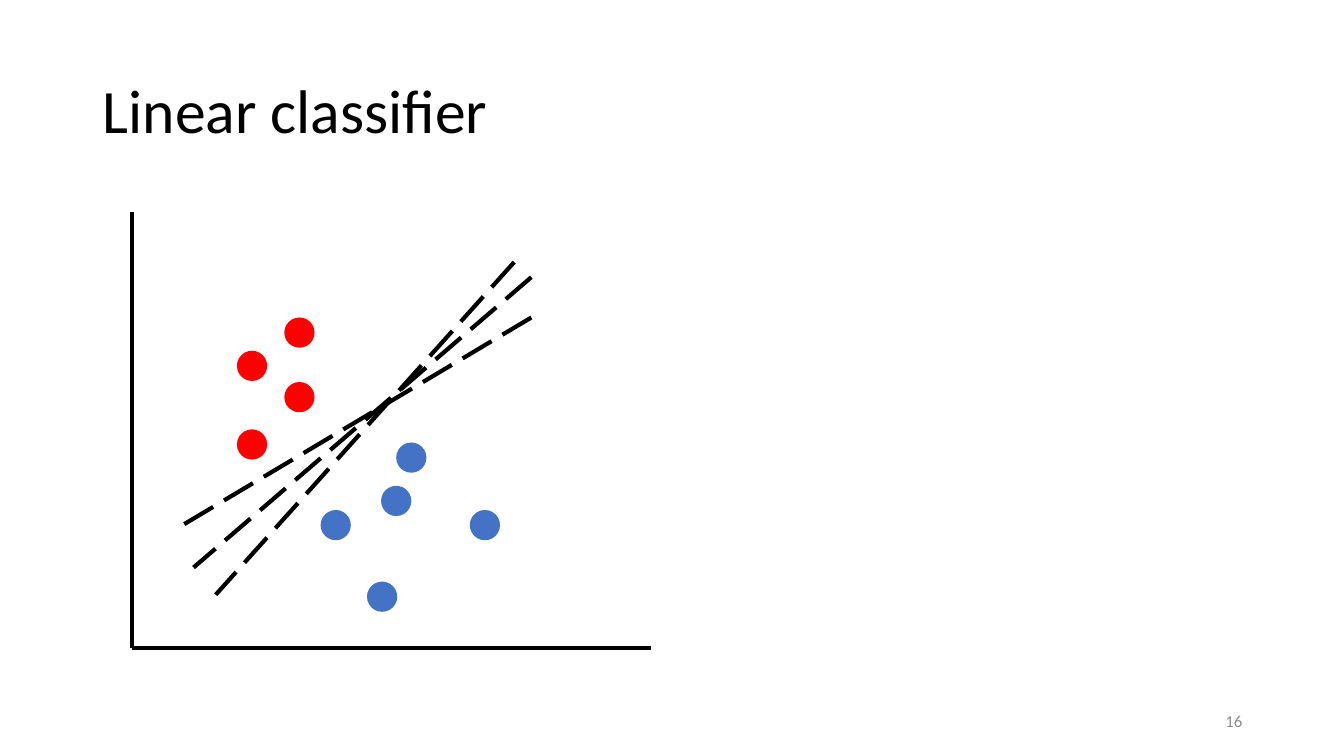
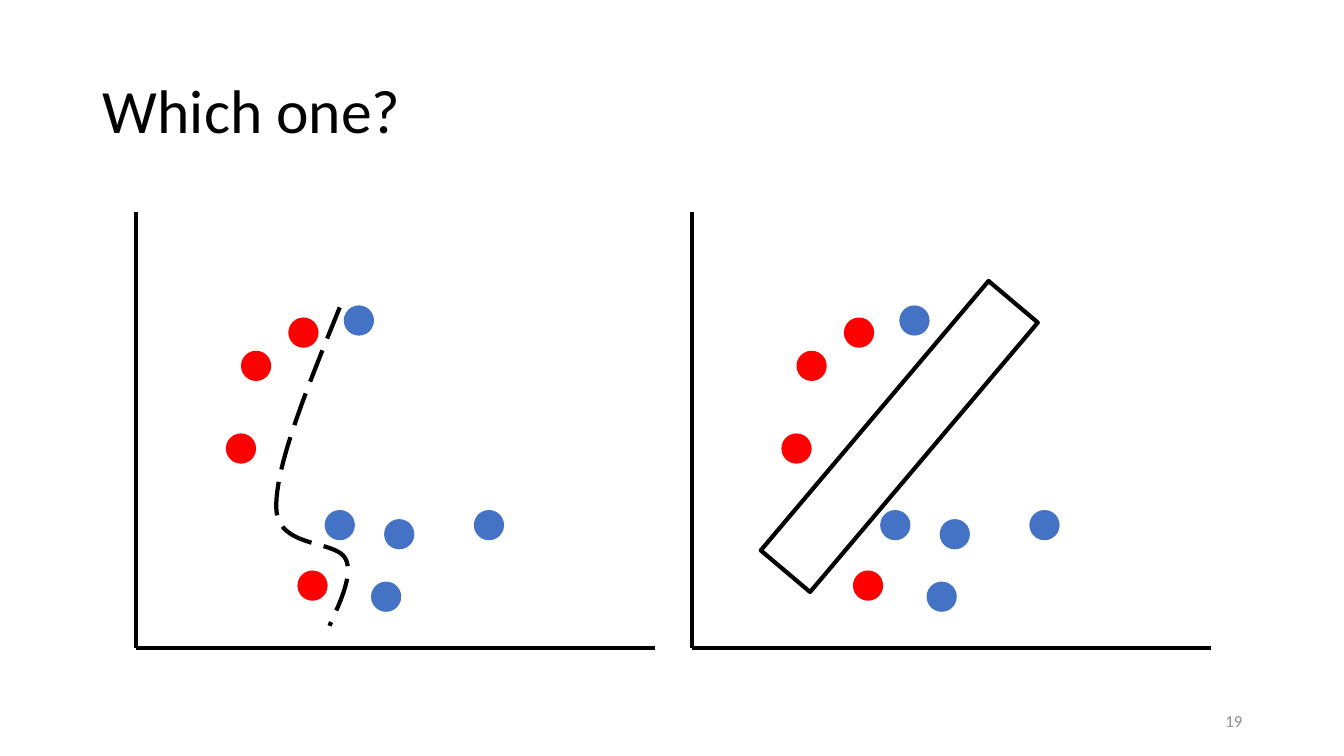
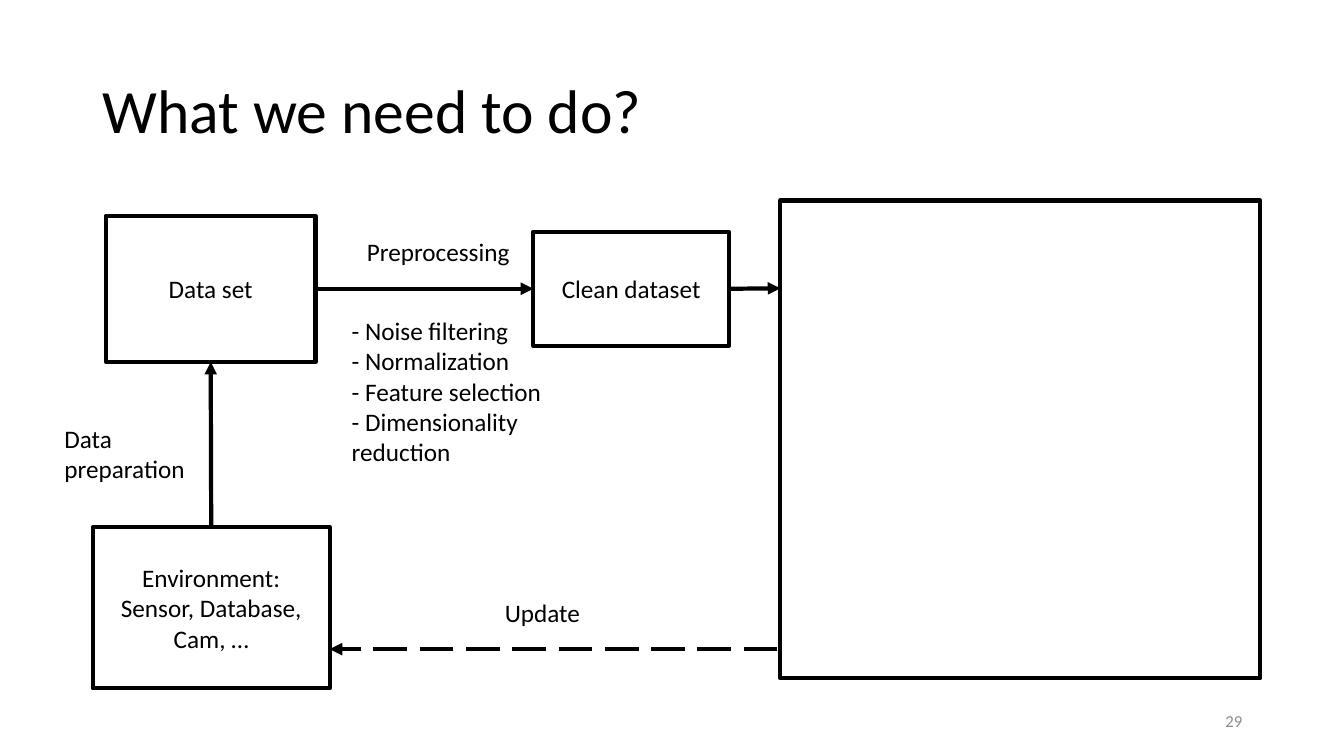
"""Build three slides on linear classifiers and the data workflow around them."""
from dataclasses import dataclass

from lxml import etree
from pptx import Presentation
from pptx.dml.color import RGBColor
from pptx.enum.dml import MSO_LINE
from pptx.enum.shapes import MSO_CONNECTOR, MSO_SHAPE
from pptx.enum.text import MSO_ANCHOR, MSO_AUTO_SIZE, PP_ALIGN
from pptx.oxml.ns import qn
from pptx.presentation import Presentation as Deck
from pptx.shapes.autoshape import Shape
from pptx.shapes.connector import Connector
from pptx.slide import Slide
from pptx.text.text import TextFrame
from pptx.util import Inches, Pt

BLACK = RGBColor(0x00, 0x00, 0x00)
WHITE = RGBColor(0xFF, 0xFF, 0xFF)
RED = RGBColor(0xFF, 0x00, 0x00)
BLUE = RGBColor(0x44, 0x72, 0xC4)
GRAY = RGBColor(0x8C, 0x8C, 0x8C)

FONT = "Calibri"
LINE_WIDTH = Pt(3)
LONG_DASH = MSO_LINE.LONG_DASH
STRAIGHT = MSO_CONNECTOR.STRAIGHT
RECTANGLE = MSO_SHAPE.RECTANGLE
OVAL = MSO_SHAPE.OVAL
LEFT, CENTER, RIGHT = PP_ALIGN.LEFT, PP_ALIGN.CENTER, PP_ALIGN.RIGHT
TOP, MIDDLE = MSO_ANCHOR.TOP, MSO_ANCHOR.MIDDLE
FIXED, GROW = MSO_AUTO_SIZE.NONE, MSO_AUTO_SIZE.SHAPE_TO_FIT_TEXT
TOP_SIDE, LEFT_SIDE, BOTTOM_SIDE, RIGHT_SIDE = range(4)
TITLE_ONLY_LAYOUT = 5

AXIS_TOP, AXIS_BOTTOM, AXIS_LENGTH = 2.1, 6.43, 5.15
DOT_SIZE = 0.3
CURVE_STEPS = 24

Point = tuple[float, float]


@dataclass(frozen=True)
class Area:
    """A rectangle on the slide, in inches."""

    left: float
    top: float
    width: float
    height: float

    def lengths(self) -> tuple[Inches, Inches, Inches, Inches]:
        """Return the rectangle as slide lengths."""
        return Inches(self.left), Inches(self.top), Inches(self.width), Inches(self.height)


@dataclass(frozen=True)
class Dots:
    """Data points of one class, measured from the vertical axis and the slide top."""

    color: RGBColor
    corners: tuple[Point, ...]


@dataclass(frozen=True)
class Label:
    """A free text with its place and alignment."""

    area: Area
    lines: tuple[str, ...]
    align: PP_ALIGN = LEFT


TITLE_AREA = Area(0.92, 0.4, 11.5, 1.45)
NUMBER_AREA = Area(9.42, 6.95, 3, 0.4)

SEPARABLE_DATA = (
    Dots(RED, ((1.04, 3.48), (1.51, 3.15), (1.51, 3.79), (1.04, 4.26))),
    Dots(BLUE, ((1.87, 5.06), (2.62, 4.39), (2.47, 4.82), (2.33, 5.77), (3.35, 5.06))),
)
MIXED_DATA = (
    Dots(RED, ((1.04, 3.48), (1.51, 3.15), (0.89, 4.3), (1.6, 5.66))),
    Dots(BLUE, ((1.87, 5.06), (2.06, 3.03), (2.46, 5.15), (2.33, 5.77), (3.35, 5.06))),
)
CLASSIFIERS = (
    ((5.27, 2.75), (1.92, 5.63)),
    ((5.1, 2.6), (2.14, 5.9)),
    ((5.27, 3.15), (1.76, 5.24)),
)
CURVE_START = (3.37, 3.05)
CURVE_PARTS = (
    ((3.05, 3.84), (2.73, 4.62), (2.74, 5.04)),
    ((2.75, 5.45), (3.34, 5.35), (3.43, 5.55)),
    ((3.52, 5.74), (3.29, 6.13), (3.27, 6.21)),
)
WORKFLOW_LABELS = (
    Label(Area(0.54, 4.15, 1.49, 0.71), ("Data preparation",)),
    Label(Area(3.54, 2.3, 1.94, 0.4), ("Preprocessing",)),
    Label(
        Area(3.39, 3.08, 2.24, 1.62),
        (
            "- Noise filtering",
            "- Normalization",
            "- Feature selection",
            "- Dimensionality reduction",
        ),
    ),
    Label(Area(4.41, 5.88, 1.94, 0.4), ("Update",), CENTER),
)


def write(
    frame: TextFrame,
    lines: tuple[str, ...],
    size: int,
    color: RGBColor = BLACK,
    align: PP_ALIGN = LEFT,
    anchor: MSO_ANCHOR = TOP,
) -> None:
    """Fill a text frame with evenly formatted paragraphs."""
    frame.word_wrap = True
    frame.vertical_anchor = anchor
    frame.text = "\n".join(lines)
    for para in frame.paragraphs:
        para.alignment = align
        for span in para.runs:
            span.font.name = FONT
            span.font.size = Pt(size)
            span.font.color.rgb = color


def add_text(slide: Slide, label: Label) -> None:
    """Add a text box that grows with its text."""
    box = slide.shapes.add_textbox(*label.area.lengths())
    write(box.text_frame, label.lines, 18, align=label.align)
    box.text_frame.auto_size = GROW


def add_page(deck: Deck, title: str, number: str) -> Slide:
    """Add a slide with its title and page number."""
    slide = deck.slides.add_slide(deck.slide_layouts[TITLE_ONLY_LAYOUT])
    heading = slide.shapes.title
    heading.left, heading.top, heading.width, heading.height = TITLE_AREA.lengths()
    write(heading.text_frame, (title,), 44, anchor=MIDDLE)
    heading.text_frame.auto_size = FIXED
    heading.text_frame.paragraphs[0].line_spacing = 0.9
    page_number = slide.shapes.add_textbox(*NUMBER_AREA.lengths())
    write(page_number.text_frame, (number,), 12, GRAY, RIGHT, MIDDLE)
    return slide


def add_line(
    slide: Slide, start: Point, end: Point, dashed: bool = False, arrow: bool = False
) -> Connector:
    """Add a black straight line, optionally dashed or with an arrowhead at its end."""
    ends = (Inches(value) for value in (*start, *end))
    connector = slide.shapes.add_connector(STRAIGHT, *ends)
    connector.line.color.rgb = BLACK
    connector.line.width = LINE_WIDTH
    if dashed:
        connector.line.dash_style = LONG_DASH
    properties = connector.element.find(qn("p:spPr"))
    if arrow:
        etree.SubElement(properties.find(qn("a:ln")), qn("a:tailEnd"), type="triangle")
    etree.SubElement(properties, qn("a:effectLst"))
    return connector


def add_box(slide: Slide, area: Area, lines: tuple[str, ...] = ()) -> Shape:
    """Add a white rectangle with a black outline and centred text."""
    box = slide.shapes.add_shape(RECTANGLE, *area.lengths())
    box.shadow.inherit = False
    box.fill.solid()
    box.fill.fore_color.rgb = WHITE
    box.line.color.rgb = BLACK
    box.line.width = LINE_WIDTH
    if lines:
        write(box.text_frame, lines, 18, align=CENTER, anchor=MIDDLE)
    return box


def add_plot(slide: Slide, left: float, data: tuple[Dots, ...]) -> None:
    """Draw two axes and the data points of each class."""
    origin = (left, AXIS_BOTTOM)
    add_line(slide, (left, AXIS_TOP), origin)
    add_line(slide, (left + AXIS_LENGTH, AXIS_BOTTOM), origin)
    for dots in data:
        for offset, top in dots.corners:
            area = Area(left + offset, top, DOT_SIZE, DOT_SIZE)
            dot = slide.shapes.add_shape(OVAL, *area.lengths())
            dot.shadow.inherit = False
            dot.fill.solid()
            dot.fill.fore_color.rgb = dots.color
            dot.line.fill.background()


def curve_points() -> list[tuple[Inches, Inches]]:
    """Sample the cubic parts of the curved boundary."""
    points = []
    start = CURVE_START
    for first, second, end in CURVE_PARTS:
        for step in range(1, CURVE_STEPS + 1):
            t = step / CURVE_STEPS
            weights = ((1 - t) ** 3, 3 * t * (1 - t) ** 2, 3 * t**2 * (1 - t), t**3)
            corners = (start, first, second, end)
            x, y = (
                sum(weight * corner[axis] for weight, corner in zip(weights, corners))
                for axis in range(2)
            )
            points.append((Inches(x), Inches(y)))
        start = end
    return points


def add_curve(slide: Slide) -> None:
    """Draw the dashed curved boundary."""
    builder = slide.shapes.build_freeform(*(Inches(value) for value in CURVE_START))
    builder.add_line_segments(curve_points(), close=False)
    curve = builder.convert_to_shape()
    curve.shadow.inherit = False
    curve.fill.background()
    curve.line.color.rgb = BLACK
    curve.line.width = LINE_WIDTH
    curve.line.dash_style = LONG_DASH


def add_linear_classifier(deck: Deck) -> None:
    """Show several straight lines that separate the same data."""
    slide = add_page(deck, "Linear classifier", "16")
    add_plot(slide, 1.31, SEPARABLE_DATA)
    for start, end in CLASSIFIERS:
        add_line(slide, start, end, dashed=True)


def add_which_one(deck: Deck) -> None:
    """Compare a curved boundary with a wide straight margin."""
    slide = add_page(deck, "Which one?", "19")
    for left in (1.35, 6.86):
        add_plot(slide, left, MIXED_DATA)
    add_curve(slide)
    margin = add_box(slide, Area(7.17, 4.01, 3.5, 0.64))
    margin.rotation = 310.2


def add_workflow(deck: Deck) -> None:
    """Show the way from the environment to a clean data set and back."""
    slide = add_page(deck, "What we need to do?", "29")
    data_set = add_box(slide, Area(1.05, 2.14, 2.08, 1.45), ("Data set",))
    environment = add_box(
        slide,
        Area(0.92, 5.23, 2.35, 1.6),
        ("Environment:", "Sensor, Database, Cam, …"),
    )
    clean_set = add_box(slide, Area(5.29, 2.3, 1.94, 1.13), ("Clean dataset",))
    add_line(slide, (7.71, 6.44), (3.27, 6.44), dashed=True, arrow=True)
    add_box(slide, Area(7.74, 1.99, 4.76, 4.74))

    preparation = add_line(slide, (2.09, 5.23), (2.09, 3.59), arrow=True)
    preparation.begin_connect(environment, TOP_SIDE)
    preparation.end_connect(data_set, BOTTOM_SIDE)
    preprocessing = add_line(slide, (3.13, 2.87), (5.29, 2.87), arrow=True)
    preprocessing.begin_connect(data_set, RIGHT_SIDE)
    preprocessing.end_connect(clean_set, LEFT_SIDE)
    output = add_line(slide, (7.23, 2.87), (7.74, 2.86), arrow=True)
    output.begin_connect(clean_set, RIGHT_SIDE)

    for label in WORKFLOW_LABELS:
        add_text(slide, label)


def main() -> None:
    """Build and save the deck."""
    deck = Presentation()
    deck.slide_width, deck.slide_height = Inches(13.33), Inches(7.5)
    add_linear_classifier(deck)
    add_which_one(deck)
    add_workflow(deck)
    deck.save("out.pptx")


if __name__ == "__main__":
    main()
